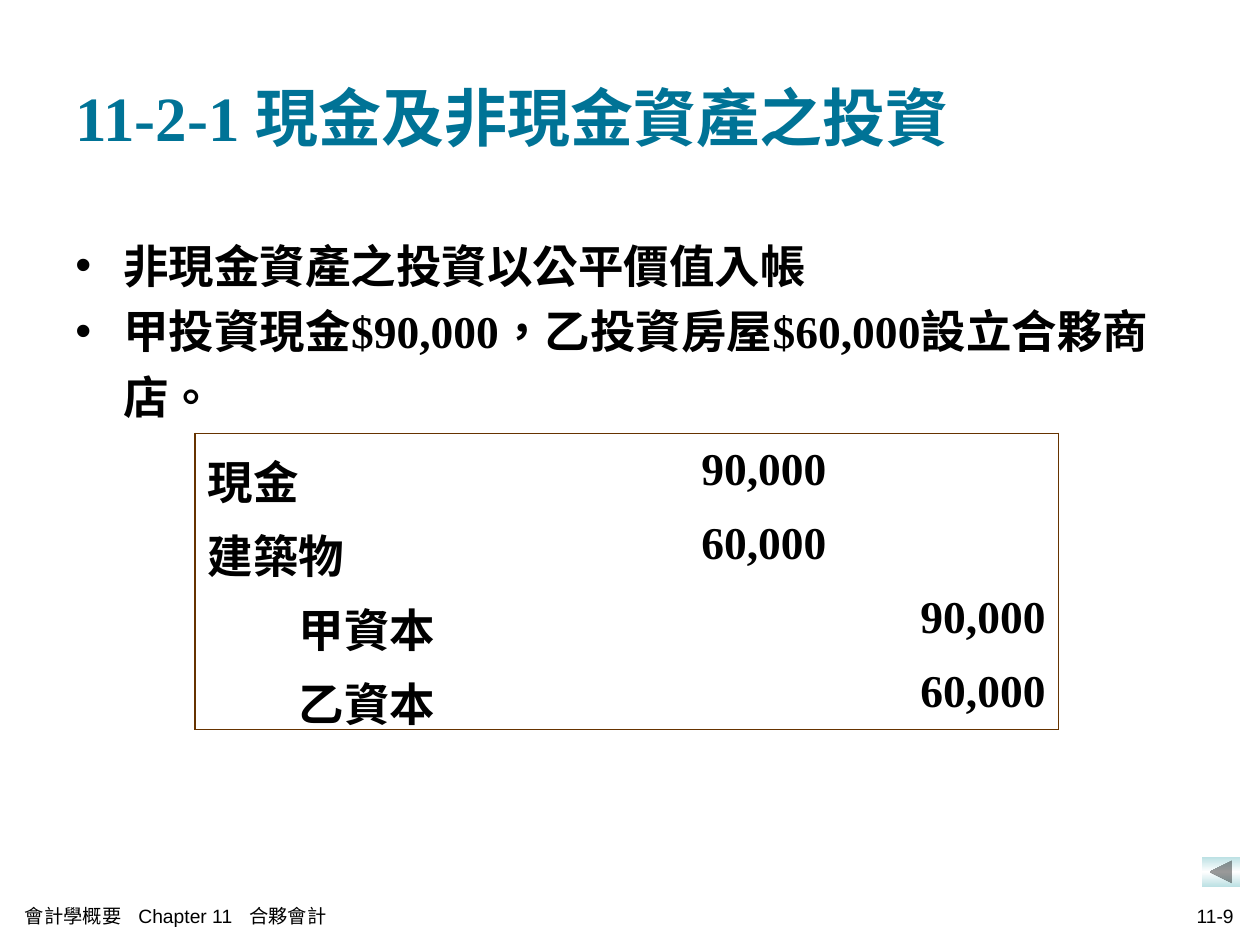
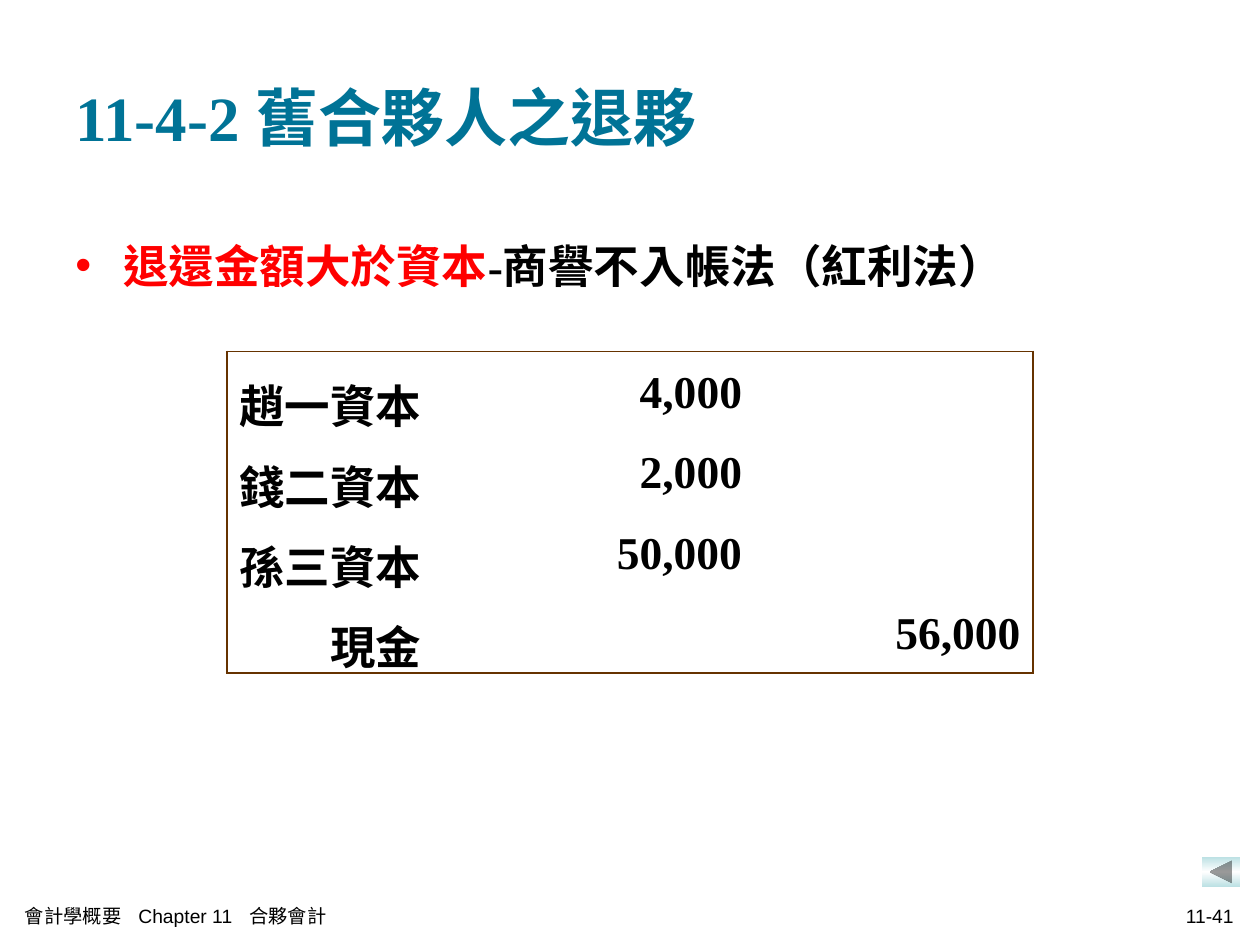
import copy

import pptx
import pptx.dml.color
import pptx.enum.lang
import pptx.enum.shapes
import pptx.enum.text
import pptx.oxml
import pptx.oxml.ns
import pptx.util
from lxml import etree

Inches = pptx.util.Inches
RGBColor = pptx.dml.color.RGBColor
ALIGN = pptx.enum.text.PP_ALIGN
ANCHOR = pptx.enum.text.MSO_ANCHOR

TEAL = RGBColor(0x00, 0x73, 0x96)
BLACK = RGBColor(0x00, 0x00, 0x00)
RED = RGBColor(0xFF, 0x00, 0x00)
BROWN = RGBColor(0x66, 0x33, 0x00)
PALE_BLUE = RGBColor(0xBB, 0xE0, 0xE3)
WHITE = RGBColor(0xFF, 0xFF, 0xFF)

CHINESE = pptx.enum.lang.MSO_LANGUAGE_ID.TRADITIONAL_CHINESE
TITLE = {"name": "Times New Roman", "size": pptx.util.Pt(36), "bold": True,
         "language_id": CHINESE}
BODY = {**TITLE, "size": pptx.util.Pt(26)}
FOOTER = {"name": "Arial", "size": pptx.util.Pt(11), "bold": False,
          "language_id": CHINESE}

BULLET_INDENT = Inches(0.38)
CREDIT_INDENT = Inches(0.72)
FOOTER_TABS = (0.9, 1.78)
BORDER_WIDTH = pptx.util.Pt(1.08)


def add_run(paragraph, text, style, color=BLACK):
    run = paragraph.add_run()
    run.text = text
    for attribute, value in style.items():
        setattr(run.font, attribute, value)
    run.font.color.rgb = color


def add_text_frame(slide, left, top, width, height, anchor=ANCHOR.MIDDLE):
    box = slide.shapes.add_textbox(
        Inches(left), Inches(top), Inches(width), Inches(height))
    frame = box.text_frame
    frame.word_wrap = True
    frame.vertical_anchor = anchor
    return frame


def add_child(parent, tag, **attributes):
    return etree.SubElement(parent, pptx.oxml.ns.qn(tag), attributes)


def add_title(slide, title):
    frame = add_text_frame(slide, 0.5, 0.3, 9, 1.25)
    add_run(frame.paragraphs[0], title, TITLE, TEAL)


def add_bullets(slide, points):
    """Each point is a list of (text, colour); its bullet takes the first colour."""
    frame = add_text_frame(slide, 0.5, 1.75, 9, 4.95, ANCHOR.TOP)
    for index, point in enumerate(points):
        paragraph = frame.add_paragraph() if index else frame.paragraphs[0]
        properties = paragraph._p.get_or_add_pPr()
        properties.set("marL", str(BULLET_INDENT))
        properties.set("indent", str(-BULLET_INDENT))
        bullet_color = add_child(properties, "a:buClr")
        add_child(bullet_color, "a:srgbClr", val=str(point[0][1]))
        add_child(properties, "a:buFont", typeface="Arial")
        add_child(properties, "a:buChar", char="•")
        paragraph.line_spacing = 1.2
        for text, color in point:
            add_run(paragraph, text, BODY, color)


def set_borders(cell, outer_edges):
    """Draw the outer edges in brown and hide the inner ones."""
    properties = cell._tc.get_or_add_tcPr()
    for position, edge in enumerate("LRTB"):
        line = etree.Element(pptx.oxml.ns.qn(f"a:ln{edge}"), w=str(BORDER_WIDTH))
        if edge in outer_edges:
            fill = add_child(line, "a:solidFill")
            add_child(fill, "a:srgbClr", val=str(BROWN))
        else:
            add_child(line, "a:noFill")
        properties.insert(position, line)


def add_journal_entry(slide, left, top, height, column_widths, line_spacing, entries):
    """Each entry is (account, debit, credit); credited accounts are indented."""
    frame = slide.shapes.add_table(
        len(entries), len(column_widths), Inches(left), Inches(top),
        Inches(sum(column_widths)), Inches(height))
    journal = frame.table
    journal.first_row = journal.horz_banding = False
    for column, width in zip(journal.columns, column_widths):
        column.width = Inches(width)

    last_row, last_column = len(entries) - 1, len(column_widths) - 1
    for row, entry in enumerate(entries):
        for column, text in enumerate(entry):
            cell = journal.cell(row, column)
            cell.fill.background()
            edges = {"L": column == 0, "R": column == last_column,
                     "T": row == 0, "B": row == last_row}
            set_borders(cell, [edge for edge, outer in edges.items() if outer])
            if not text:
                continue
            paragraph = cell.text_frame.paragraphs[0]
            paragraph.line_spacing = line_spacing
            paragraph.alignment = ALIGN.RIGHT if column else ALIGN.LEFT
            if column == 0 and entry[last_column]:
                paragraph._p.get_or_add_pPr().set("marL", str(CREDIT_INDENT))
            add_run(paragraph, text, BODY)


def add_back_button(slide):
    button = slide.shapes.add_shape(
        pptx.enum.shapes.MSO_SHAPE.ACTION_BUTTON_BACK_OR_PREVIOUS,
        Inches(9.54), Inches(6.8), Inches(0.3), Inches(0.24))
    button.shadow.inherit = False
    button.line.fill.background()
    button.fill.gradient()
    button.fill.gradient_angle = 90
    stop_list = button._element.spPr.find(".//" + pptx.oxml.ns.qn("a:gsLst"))
    stop_list.append(copy.deepcopy(stop_list[0]))
    shades = ((0, PALE_BLUE), (0.5, WHITE), (1, PALE_BLUE))
    for stop, (position, color) in zip(button.fill.gradient_stops, shades):
        stop.position = position
        stop.color.rgb = color


def add_footer(slide, page):
    book = add_text_frame(slide, 0.1, 7.1, 5.1, 0.33).paragraphs[0]
    tabs = add_child(book._p.get_or_add_pPr(), "a:tabLst")
    for position in FOOTER_TABS:
        add_child(tabs, "a:tab", pos=str(Inches(position)), algn="l")
    add_run(book, "會計學概要\tChapter 11\t合夥會計", FOOTER)

    number = add_text_frame(slide, 6.77, 7.1, 3.12, 0.33).paragraphs[0]
    number.alignment = ALIGN.RIGHT
    add_run(number, page, FOOTER)


def add_lesson(deck, title, points, page):
    slide = deck.slides.add_slide(deck.slide_layouts[6])
    add_title(slide, title)
    add_bullets(slide, points)
    add_back_button(slide)
    add_footer(slide, page)
    return slide


def main():
    deck = pptx.Presentation()
    deck.slide_width, deck.slide_height = Inches(10), Inches(7.5)

    investment = add_lesson(
        deck, "11-2-1 現金及非現金資產之投資",
        [[("非現金資產之投資以公平價值入帳", BLACK)],
         [("甲投資現金$90,000，乙投資房屋$60,000設立合夥商店。", BLACK)]],
        "11-9")
    add_journal_entry(
        investment, 1.55, 3.44, 2.35, (3.3, 1.81, 1.74), 1.1,
        [("現金", "90,000", ""),
         ("建築物", "60,000", ""),
         ("甲資本", "", "90,000"),
         ("乙資本", "", "60,000")])

    withdrawal = add_lesson(
        deck, "11-4-2 舊合夥人之退夥",
        [[("退還金額大於資本", RED), ("-商譽不入帳法（紅利法）", BLACK)]],
        "11-41")
    add_journal_entry(
        withdrawal, 1.8, 2.79, 2.55, (2.31, 1.88, 2.21), 1.2,
        [("趙一資本", "4,000", ""),
         ("錢二資本", "2,000", ""),
         ("孫三資本", "50,000", ""),
         ("現金", "", "56,000")])

    deck.save("out.pptx")


if __name__ == "__main__":
    main()
